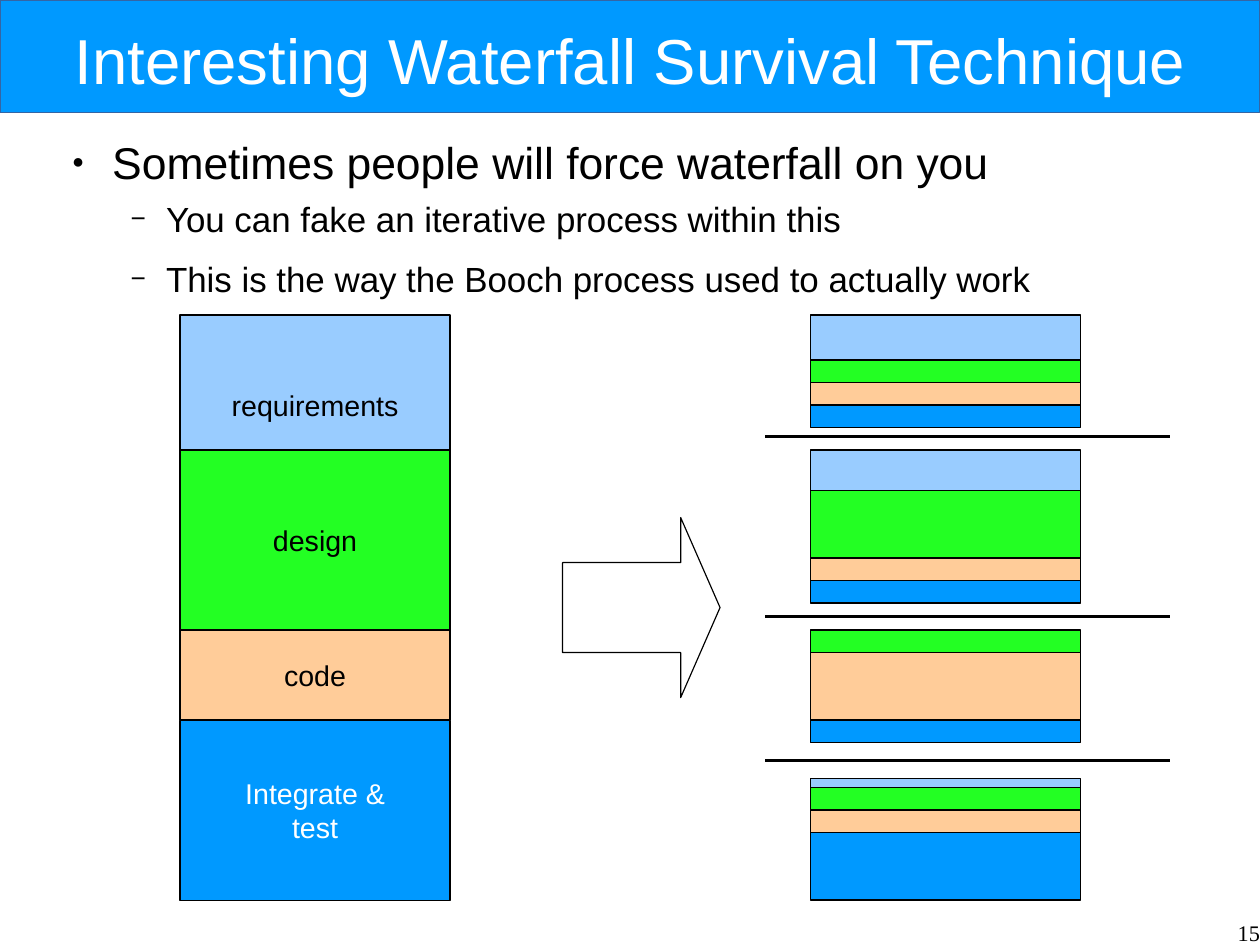
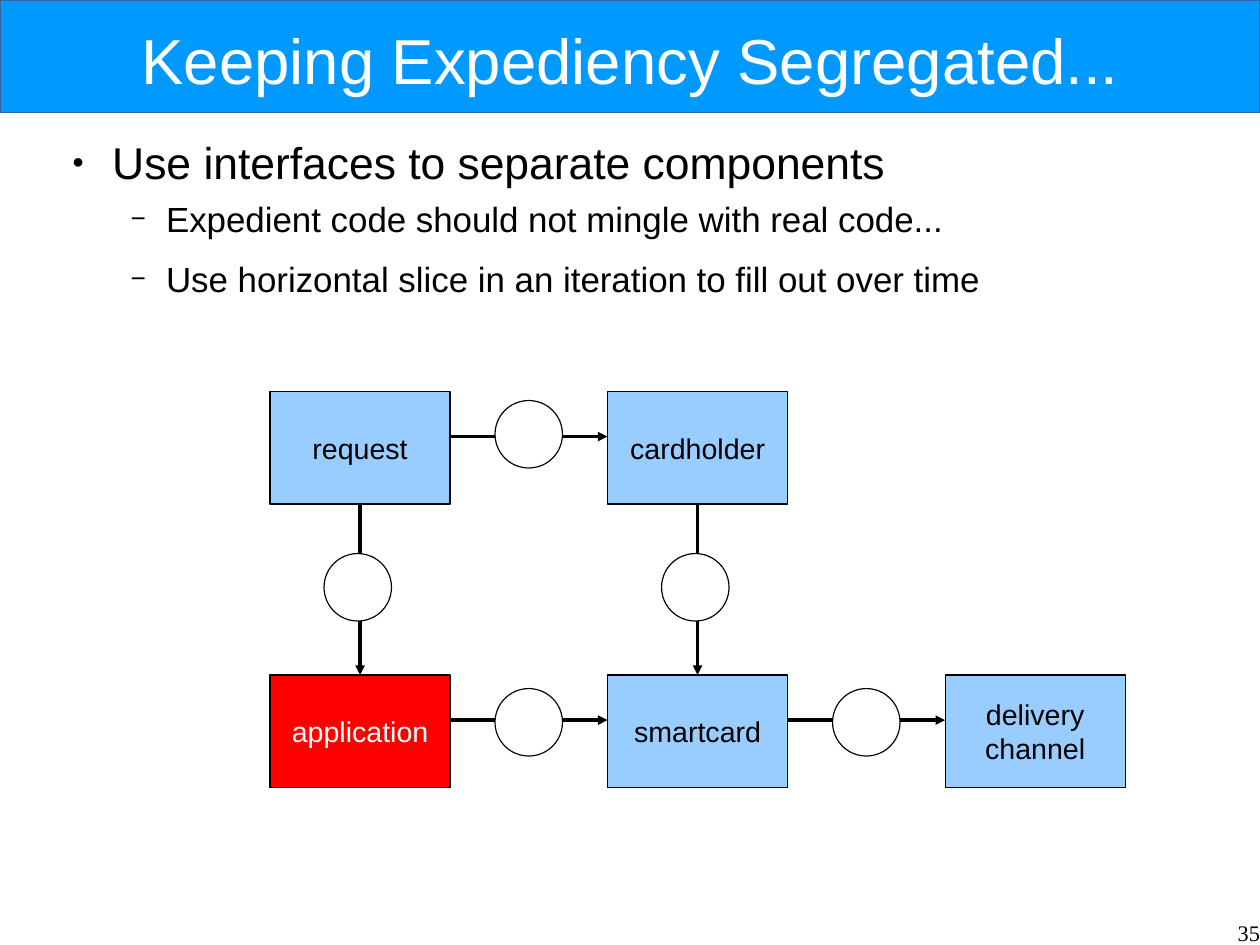
"""Build two slides on iterative delivery: a sliced waterfall and a component map."""
from pptx import Presentation
from pptx.dml.color import RGBColor
from pptx.enum import shapes, text
from pptx.oxml import ns, xmlchemy
from pptx.util import Pt

BLACK = RGBColor(0x00, 0x00, 0x00)
WHITE = RGBColor(0xFF, 0xFF, 0xFF)
BLUE = RGBColor(0x00, 0x99, 0xFF)
SKY = RGBColor(0x99, 0xCC, 0xFF)
GREEN = RGBColor(0x23, 0xFF, 0x23)
PEACH = RGBColor(0xFF, 0xCC, 0x99)
RED = RGBColor(0xFF, 0x00, 0x00)
BAND_EDGE = RGBColor(0x34, 0x65, 0xA4)
RECT = shapes.MSO_SHAPE.RECTANGLE
CENTER = text.PP_ALIGN.CENTER

SLIDE_W, SLIDE_H = 793.7, 595.28
GRID = 28.35

WATERFALL = {
    "title": "Interesting Waterfall Survival Technique",
    "bullets": ["Sometimes people will force waterfall on you",
                "You can fake an iterative process within this",
                "This is the way the Booch process used to actually work"],
    "number": "15",
}
PHASES = [
    ("requirements", 7, 4, SKY, BLACK),
    ("design", 10, 4, GREEN, BLACK),
    ("code", 14, 2, PEACH, BLACK),
    ("Integrate &\ntest", 16, 4, BLUE, WHITE),
]
ITERATIONS = [
    (7, (1, 0.5, 0.5, 0.5)),
    (10, (0.9, 1.5, 0.5, 0.5)),
    (14, (0, 0.5, 1.5, 0.5)),
    (17.3, (0.2, 0.5, 0.5, 1.5)),
]
DIVIDERS = (9.7, 13.7, 16.9)
STACK_W = 6

COMPONENTS = {
    "title": "Keeping Expediency Segregated...",
    "bullets": ["Use interfaces to separate components",
                "Expedient code should not mingle with real code...",
                "Use horizontal slice in an iteration to fill out over time"],
    "number": "35",
}
BOX_W, BOX_H, COL_STEP = 4, 2.5, 7.5
ROWS = (8.7, 15)
BOXES = {
    "request": (0, 0, SKY, BLACK),
    "cardholder": (1, 0, SKY, BLACK),
    "application": (0, 1, RED, WHITE),
    "smartcard": (1, 1, SKY, BLACK),
    "delivery\nchannel": (2, 1, SKY, BLACK),
}
FLOWS_ACROSS = [("request", "cardholder"), ("application", "smartcard"),
                ("smartcard", "delivery\nchannel")]
FLOWS_DOWN = [("request", "application"), ("cardholder", "smartcard")]
INTERFACES = [(11, 8.9), (11, 15.3), (18.5, 15.3), (7.2, 12.3), (14.7, 12.3)]
INTERFACE_SIZE = 1.5


def grid(*units):
    return [Pt(n * GRID) for n in units]


def style(p, size, color, name="Arial", align=None):
    p.alignment = align
    for r in p.runs:
        r.font.size, r.font.name = Pt(size), name
        r.font.color.rgb = color


def add_child(parent, tag, **attrs):
    el = xmlchemy.OxmlElement(tag)
    for key, value in attrs.items():
        el.set(key, value)
    parent.append(el)
    return el


def zero_margins(tf):
    tf.margin_left = tf.margin_top = tf.margin_right = tf.margin_bottom = 0
    tf.word_wrap = True
    tf.auto_size = text.MSO_AUTO_SIZE.NONE


def add_shape(s, kind, box, fill=None, label="", color=BLACK, edge=BLACK):
    sp = s.shapes.add_shape(kind, *box)
    sp.shadow.inherit = False
    if fill is None:
        sp.fill.background()
    else:
        sp.fill.solid()
        sp.fill.fore_color.rgb = fill
    sp.line.color.rgb = edge
    sp.line.width = Pt(0)
    if label:
        tf = sp.text_frame
        tf.text = label
        tf.vertical_anchor = text.MSO_ANCHOR.MIDDLE
        for p in tf.paragraphs:
            style(p, 18, color, align=CENTER)
    return sp


def add_line(s, ends, arrow=False):
    cx = s.shapes.add_connector(shapes.MSO_CONNECTOR.STRAIGHT, *ends)
    cx.line.color.rgb = BLACK
    cx.line.width = Pt(0)
    props = cx.element.spPr
    if arrow:
        add_child(props.find(ns.qn("a:ln")), "a:tailEnd", type="triangle")
    add_child(props, "a:effectLst")
    return cx


def set_bullet(p, char, percent, left, hanging):
    props = p._p.get_or_add_pPr()
    props.set("marL", str(Pt(left)))
    props.set("indent", str(-Pt(hanging)))
    add_child(add_child(props, "a:buClr"), "a:srgbClr", val=str(BLACK))
    add_child(props, "a:buSzPct", val=str(percent * 1000))
    add_child(props, "a:buChar", char=char)


def set_up_template(prs):
    layout = prs.slide_layouts[1]
    places = [(39.6, 8, 714.4, 58), (36.9, 85, 714.2, 496)]
    for ph, place in zip(layout.placeholders, places):
        ph.left, ph.top, ph.width, ph.height = map(Pt, place)
    return layout


def add_master_band(prs, s):
    band = add_shape(s, RECT, [0, 0, Pt(SLIDE_W), Pt(70.9)], BLUE, edge=BAND_EDGE)
    prs.slide_master.shapes.element.insert(2, band.element)


def add_slide(prs, layout, content):
    s = prs.slides.add_slide(layout)
    title, body = s.placeholders
    tf = title.text_frame
    zero_margins(tf)
    tf.vertical_anchor = text.MSO_ANCHOR.MIDDLE
    tf.text = content["title"]
    style(tf.paragraphs[0], 40, WHITE, align=CENTER)

    tf = body.text_frame
    zero_margins(tf)
    tf.text = "\n".join(content["bullets"])
    for i, p in enumerate(tf.paragraphs):
        p.level = min(i, 1)
        p.space_before = Pt(0)
        p.space_after = Pt(11.3 if i else 5.8)
        style(p, 22 if i else 28, BLACK)
        set_bullet(p, *(("−", 75, 67.7, 22.3) if i else ("●", 45, 33.8, 25.2)))

    tf = s.shapes.add_textbox(Pt(608.4), Pt(579), Pt(185.3), Pt(16.2)).text_frame
    zero_margins(tf)
    tf.text = content["number"]
    style(tf.paragraphs[0], 14, BLACK, "Times New Roman", text.PP_ALIGN.RIGHT)
    return s


def draw_waterfall(s):
    for label, top, height, fill, color in PHASES:
        add_shape(s, RECT, grid(4, top, STACK_W, height), fill, label, color)
    arrow = add_shape(s, shapes.MSO_SHAPE.RIGHT_ARROW, grid(12.5, 11.5, 3.5, 4))
    arrow.adjustments[1] = 0.25
    for top, heights in ITERATIONS:
        for (_, _, _, fill, _), height in zip(PHASES, heights):
            if height:
                add_shape(s, RECT, grid(18, top, STACK_W, height), fill)
            top += height
    for y in DIVIDERS:
        add_line(s, grid(17, y, 26, y))


def draw_components(s):
    places, boxes = {}, {}
    for label, (col, row, fill, color) in BOXES.items():
        x, y = places[label] = 6 + col * COL_STEP, ROWS[row]
        boxes[label] = add_shape(s, RECT, grid(x, y, BOX_W, BOX_H), fill, label, color)
    for start, end in FLOWS_ACROSS:
        x, y = places[start]
        add_line(s, grid(x + BOX_W, y + 1, places[end][0], y + 1), arrow=True)
    for start, end in FLOWS_DOWN:
        cx = add_line(s, grid(0, 0, 0, 0), arrow=True)
        cx.begin_connect(boxes[start], 2)
        cx.end_connect(boxes[end], 0)
    for x, y in INTERFACES:
        add_shape(s, shapes.MSO_SHAPE.OVAL,
                  grid(x, y, INTERFACE_SIZE, INTERFACE_SIZE), WHITE)


def main():
    prs = Presentation()
    prs.slide_width, prs.slide_height = Pt(SLIDE_W), Pt(SLIDE_H)
    layout = set_up_template(prs)
    s = add_slide(prs, layout, WATERFALL)
    add_master_band(prs, s)
    draw_waterfall(s)
    draw_components(add_slide(prs, layout, COMPONENTS))
    prs.save("out.pptx")


if __name__ == "__main__":
    main()
